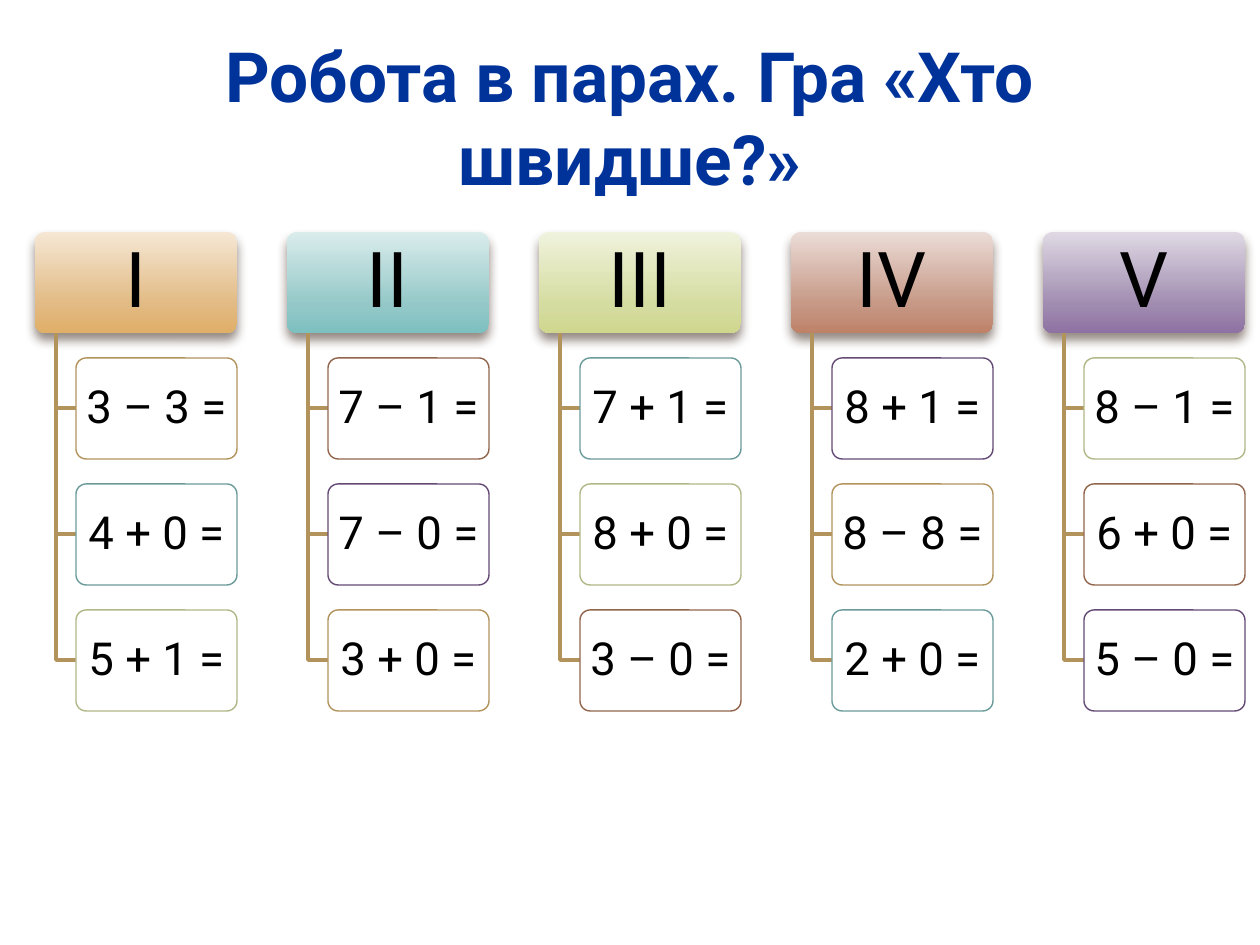
from lxml import etree
from pptx import Presentation
from pptx.dml.color import RGBColor
from pptx.enum.shapes import MSO_SHAPE as Shape
from pptx.enum.text import MSO_ANCHOR as Anchor, MSO_AUTO_SIZE as AutoSize, PP_ALIGN as Align
from pptx.oxml import parse_xml
from pptx.oxml.ns import nsdecls, qn
from pptx.util import Pt

PX = 914400 // 126
FONT = "Roboto"
TITLE_ONLY = 5
COLUMN_LEFT, COLUMN_STEP = 35, 252
HEADER_TOP, HEADER_WIDTH, BOX_HEIGHT = 232, 202, 101
STEM_INSET, TASK_INSET = 21, 41
TASK_TOP, TASK_STEP = 358, 126
STEM_COLOUR = "B2935C"
TASK_BORDERS = ["B2935C", "6A9A9A", "B2B787", "91644B", "654A76"]

HEADER_FORMAT = {"size": Pt(44), "bold": False, "name": FONT}
TASK_FORMAT = {"size": Pt(26), "bold": False, "name": FONT}
TITLE_FORMAT = {"size": Pt(39.6), "bold": True, "name": FONT}

COLUMNS = [
    ("I", ["F5E7D4", "E2BA83", "E0AF68"], ["3 – 3 =", "4 + 0 =", "5 + 1 ="]),
    ("II", ["DAECEC", "94C8C8", "7DC0C0"], ["7 – 1 =", "7 – 0 =", "3 + 0 ="]),
    ("III", ["F0F3DD", "D5DCA0", "CFD78E"], ["7 + 1 =", "8 + 0 =", "3 – 0 ="]),
    ("IV", ["EBDCD7", "C69885", "BE8268"], ["8 + 1 =", "8 – 8 =", "2 + 0 ="]),
    ("V", ["DFD9E4", "A08CB0", "8E72A3"], ["8 – 1 =", "6 + 0 =", "5 – 0 ="]),
]


def colour(hex_value):
    return RGBColor.from_string(hex_value)


def set_attributes(target, values):
    for name, value in values.items():
        setattr(target, name, value)


def write_text(shape, text, font_format, text_colour, margin):
    frame = shape.text_frame
    set_attributes(frame, {
        "text": text, "word_wrap": True, "auto_size": AutoSize.NONE,
        "vertical_anchor": Anchor.MIDDLE,
        "margin_left": margin * PX, "margin_right": margin * PX,
        "margin_top": 6 * PX, "margin_bottom": 6 * PX,
    })
    paragraph = frame.paragraphs[0]
    paragraph.alignment = Align.CENTER
    font = paragraph.runs[0].font
    set_attributes(font, font_format)
    font.color.rgb = colour(text_colour)
    return paragraph


def add_title(slide, text):
    title = slide.shapes.title
    set_attributes(title, {"left": 63 * PX, "top": 37 * PX,
                           "width": 1134 * PX, "height": 158 * PX})
    write_text(title, text, TITLE_FORMAT, "00339A", 13)


def add_box(slide, left, top, width, text, font_format, margin):
    box = slide.shapes.add_shape(Shape.ROUNDED_RECTANGLE, left * PX, top * PX,
                                 width * PX, BOX_HEIGHT * PX)
    box.adjustments[0] = 0.1
    box.shadow.inherit = False
    paragraph = write_text(box, text, font_format, "000000", margin)
    paragraph.line_spacing = 0.9
    return box


def add_header(slide, left, text, gradient):
    header = add_box(slide, left, HEADER_TOP, HEADER_WIDTH, text, HEADER_FORMAT, 14)
    header.line.fill.background()
    header.fill.gradient()
    properties = header.fill._xPr
    stops = properties.find(qn("a:gradFill")).find(qn("a:gsLst"))
    for stop in list(stops):
        stops.remove(stop)
    for position, hex_value in zip((0, 72, 100), gradient):
        stop = etree.SubElement(stops, qn("a:gs"), pos=str(position * 1000))
        etree.SubElement(stop, qn("a:srgbClr"), val=hex_value)
    header.fill.gradient_angle = 270
    properties.find(qn("a:effectLst")).append(parse_xml(
        f'<a:outerShdw {nsdecls("a")} blurRad="{Pt(6)}" dist="{Pt(4)}" dir="5400000" '
        'rotWithShape="0"><a:srgbClr val="4E3B30"><a:alpha val="60000"/></a:srgbClr>'
        '</a:outerShdw>'))


def add_stem(slide, left, task_left, middle):
    bottom = HEADER_TOP + BOX_HEIGHT
    builder = slide.shapes.build_freeform(left * PX, bottom * PX)
    builder.add_line_segments([(left * PX, middle * PX), (task_left * PX, middle * PX)],
                              close=False)
    stem = builder.convert_to_shape()
    stem.shadow.inherit = False
    stem.fill.background()
    stem.line.color.rgb = colour(STEM_COLOUR)
    stem.line.width = Pt(2)


def add_task(slide, left, top, width, text, border):
    task = add_box(slide, left, top, width, text, TASK_FORMAT, 4)
    task.fill.solid()
    task.fill.fore_color.rgb = colour("FFFFFF")
    fill = task.fill._xPr.find(qn("a:solidFill"))
    etree.SubElement(fill[0], qn("a:alpha"), val="90000")
    task.line.color.rgb = colour(border)
    task.line.width = Pt(0.79)


def add_column(slide, index, numeral, gradient, tasks):
    left = COLUMN_LEFT + index * COLUMN_STEP
    task_left = left + TASK_INSET
    add_header(slide, left, numeral, gradient)
    for row, text in enumerate(tasks):
        top = TASK_TOP + row * TASK_STEP
        border = TASK_BORDERS[(index * len(tasks) + row) % len(TASK_BORDERS)]
        add_stem(slide, left + STEM_INSET, task_left, top + BOX_HEIGHT // 2)
        add_task(slide, task_left, top, HEADER_WIDTH - TASK_INSET, text, border)


def main():
    presentation = Presentation()
    presentation.slide_width = 1260 * PX
    presentation.slide_height = 945 * PX
    slide = presentation.slides.add_slide(presentation.slide_layouts[TITLE_ONLY])
    add_title(slide, "Робота в парах. Гра «Хто швидше?»")
    for index, column in enumerate(COLUMNS):
        add_column(slide, index, *column)
    presentation.save("out.pptx")


if __name__ == "__main__":
    main()
